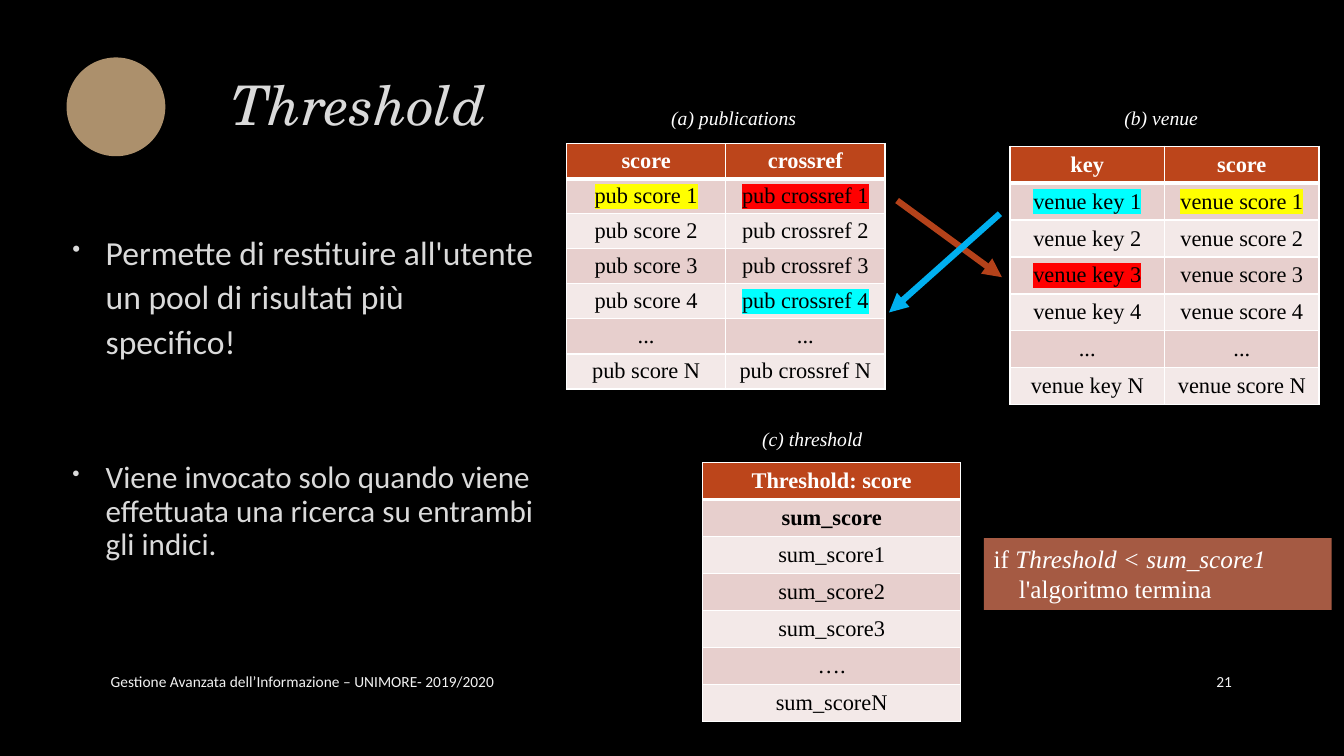
from dataclasses import dataclass, field

from lxml import etree
from pptx import Presentation
from pptx.dml.color import RGBColor
from pptx.enum.shapes import MSO_CONNECTOR, MSO_SHAPE
from pptx.enum.text import MSO_ANCHOR, MSO_AUTO_SIZE, PP_ALIGN
from pptx.oxml.ns import qn
from pptx.util import Inches, Pt

LEFT, CENTER, RIGHT = PP_ALIGN.LEFT, PP_ALIGN.CENTER, PP_ALIGN.RIGHT
TOP, MIDDLE = MSO_ANCHOR.TOP, MSO_ANCHOR.MIDDLE
OVAL, RECTANGLE = MSO_SHAPE.OVAL, MSO_SHAPE.RECTANGLE
STRAIGHT = MSO_CONNECTOR.STRAIGHT
NO_FIT = MSO_AUTO_SIZE.NONE

# Positions and sizes are percentages of the page width and height.
PAGE_WIDTH, PAGE_HEIGHT = Inches(13.33), Inches(7.5)
SERIF, SANS, DISPLAY = "Times New Roman", "Calibri", "TeX Gyre Schola"
BLACK, WHITE, PALE, FOOTER = "000000", "FFFFFF", "DADADA", "F2F2F2"
HEADER, BANDS = "BC451B", ("F3E9E8", "E7CFCD")
YELLOW, RED, CYAN = "FFFF00", "FF0000", "00FFFF"


@dataclass
class Style:
    size: float
    font: str = SERIF
    color: str = WHITE
    bold: bool = False
    italic: bool = False


@dataclass
class Label:
    text: str
    area: tuple[float, float, float, float]
    style: Style
    align: PP_ALIGN = LEFT
    anchor: MSO_ANCHOR = TOP


@dataclass
class ScoreTable:
    left: float
    top: float
    column: float
    row: float
    rows: list[tuple[str, ...]]
    marks: dict[str, str] = field(default_factory=dict)
    bold: tuple[str, ...] = ()


@dataclass
class Arrow:
    start: tuple[float, float]
    end: tuple[float, float]
    color: str


@dataclass
class Bullet:
    text: str
    top: float
    size: float
    line_spacing: float


CAPTION = Style(14, italic=True)
SMALL = Style(11, SANS, FOOTER)
RULE = Style(18)

LABELS = [
    Label("Gestione Avanzata dell’Informazione – UNIMORE- 2019/2020",
          (7.5, 87.47, 54.75, 5.33), SMALL, LEFT, MIDDLE),
    Label("21", (86.25, 87.47, 6.15, 5.33), SMALL, RIGHT, MIDDLE),
    Label("(a) publications", (45.07, 13.33, 19.05, 4.53), CAPTION, CENTER),
    Label("(b) venue", (76.88, 13.33, 19.05, 4.53), CAPTION, CENTER),
    Label("(c) threshold", (50.92, 55.87, 19.05, 4.53), CAPTION, CENTER),
]

ITEMS = ("1", "2", "3", "4", "N")


def listing(header: tuple[str, str], names: tuple[str, str]) -> list[tuple[str, ...]]:
    """Rows for items 1 to 4, an ellipsis and item N."""
    rows = [tuple(f"{name} {item}" for name in names) for item in ITEMS]
    return [header, *rows[:-1], ("...", "..."), rows[-1]]


TABLES = [
    ScoreTable(42.15, 19, 11.85, 4.64,
               listing(("score", "crossref"), ("pub score", "pub crossref")),
               {"pub score 1": YELLOW, "pub crossref 1": RED, "pub crossref 4": CYAN}),
    ScoreTable(75.15, 19.33, 11.5, 4.89,
               listing(("key", "score"), ("venue key", "venue score")),
               {"venue key 1": CYAN, "venue score 1": YELLOW, "venue key 3": RED}),
    ScoreTable(52.28, 61.2, 19.2, 4.89,
               [("Threshold: score",), ("sum_score",), ("sum_score1",), ("sum_score2",),
                ("sum_score3",), ("….",), ("sum_scoreN",)],
               bold=("sum_score",)),
]

ARROWS = [
    Arrow((66.75, 26.53), (74.55, 36.67), "B4421A"),
    Arrow((74.4, 28.27), (66.15, 41.33), "00B0F0"),
]

BULLETS = [
    Bullet("Permette di restituire all'utente un pool di risultati più specifico!",
           29.47, 24, 1.1),
    Bullet("Viene invocato solo quando viene effettuata una ricerca su entrambi gli indici.",
           60.4, 22.2, 0.9),
]


def x(share: float) -> int:
    return round(PAGE_WIDTH * share / 100)


def y(share: float) -> int:
    return round(PAGE_HEIGHT * share / 100)


def place(area: tuple[float, float, float, float]) -> tuple[int, int, int, int]:
    left, top, width, height = area
    return x(left), y(top), x(width), y(height)


def rgb(value: str) -> RGBColor:
    return RGBColor.from_string(value)


def paint(target, color: str) -> None:
    target.fill.solid()
    target.fill.fore_color.rgb = rgb(color)


def format_span(span, style: Style) -> None:
    font = span.font
    font.size, font.name = Pt(style.size), style.font
    font.bold, font.italic = style.bold, style.italic
    font.color.rgb = rgb(style.color)


def write(frame, text: str, style: Style, align=LEFT, anchor=TOP):
    frame.text = text
    frame.word_wrap = True
    frame.vertical_anchor = anchor
    para = frame.paragraphs[0]
    para.alignment = align
    format_span(para.runs[0], style)
    return para


def color_element(parent, tag: str, color: str):
    element = etree.SubElement(parent, qn(tag))
    etree.SubElement(element, qn("a:srgbClr"), val=color)
    return element


def add_label(page, label: Label):
    box = page.shapes.add_textbox(*place(label.area))
    return write(box.text_frame, label.text, label.style, label.align, label.anchor)


def add_bullet(page, bullet: Bullet) -> None:
    para = add_label(page, Label(bullet.text, (4.28, bullet.top, 36.53, 15.47),
                                 Style(bullet.size, SANS, PALE)))
    para.line_spacing = bullet.line_spacing
    para.space_after = Pt(6)
    props = para._p.get_or_add_pPr()
    props.set("marL", str(Inches(0.38)))
    props.set("indent", str(Inches(-0.33)))
    color_element(props, "a:buClr", PALE)
    etree.SubElement(props, qn("a:buSzPct"), val="70000")
    etree.SubElement(props, qn("a:buChar"), char="•")


def add_shape(page, kind, area: tuple[float, float, float, float], color: str):
    shape = page.shapes.add_shape(kind, *place(area))
    shape.shadow.inherit = False
    shape.line.fill.background()
    paint(shape, color)
    return shape


def add_borders(cell, row: int) -> None:
    """White borders, heavier between the header and the first row."""
    widths = {"L": 1, "R": 1, "T": 3 if row == 1 else 1, "B": 3 if row == 0 else 1}
    for position, (side, width) in enumerate(widths.items()):
        line = etree.Element(qn(f"a:ln{side}"), w=str(Pt(width)))
        color_element(line, "a:solidFill", WHITE)
        cell._tc.get_or_add_tcPr().insert(position, line)


def add_score_table(page, spec_: ScoreTable) -> None:
    count, columns = len(spec_.rows), len(spec_.rows[0])
    area = (spec_.left, spec_.top, spec_.column * columns, spec_.row * count)
    table = page.shapes.add_table(count, columns, *place(area)).table
    for row, texts in enumerate(spec_.rows):
        table.rows[row].height = y(spec_.row)
        for column, text in enumerate(texts):
            cell = table.cell(row, column)
            cell.margin_top = cell.margin_bottom = 0
            cell.margin_left = cell.margin_right = Inches(0.05)
            cell.vertical_anchor = MIDDLE
            paint(cell, BANDS[row % 2] if row else HEADER)
            add_borders(cell, row)
            cell.text = text
            para = cell.text_frame.paragraphs[0]
            para.alignment = CENTER
            format_span(para.runs[0], Style(16, color=BLACK if row else WHITE,
                                            bold=row == 0 or text in spec_.bold))
            if text in spec_.marks:
                props = para.runs[0]._r.get_or_add_rPr()
                mark = color_element(props, "a:highlight", spec_.marks[text])
                props.find(qn("a:solidFill")).addnext(mark)


def add_arrow(page, arrow: Arrow) -> None:
    (x1, y1), (x2, y2) = arrow.start, arrow.end
    line = page.shapes.add_connector(STRAIGHT, x(x1), y(y1), x(x2), y(y2))
    line.line.color.rgb = rgb(arrow.color)
    line.line.width = Pt(4.5)
    etree.SubElement(line.line._get_or_add_ln(), qn("a:tailEnd"), type="triangle")
    etree.SubElement(line._element.spPr, qn("a:effectLst"))


def add_title(page) -> None:
    title = page.shapes.title
    title.left, title.top, title.width, title.height = place((-15.75, 5.07, 84.9, 18.4))
    para = write(title.text_frame, "Threshold", Style(39, DISPLAY, PALE, italic=True),
                 CENTER, MIDDLE)
    para.line_spacing = 0.9
    title.text_frame.auto_size = NO_FIT


def add_rule(page) -> None:
    frame = add_shape(page, RECTANGLE, (73.2, 71.2, 25.88, 9.47), "A55A43").text_frame
    para = write(frame, "if ", RULE)
    condition = para.add_run()
    condition.text = "Threshold < sum_score1"
    format_span(condition, Style(18, italic=True))
    result = frame.add_paragraph()
    result.text = "l'algoritmo termina"
    result.alignment = LEFT
    result._p.get_or_add_pPr().set("marL", str(Inches(0.25)))
    format_span(result.runs[0], RULE)


def main() -> None:
    deck = Presentation()
    deck.slide_width, deck.slide_height = PAGE_WIDTH, PAGE_HEIGHT
    page = deck.slides.add_slide(deck.slide_layouts.get_by_name("Title Only"))
    paint(page.background, BLACK)
    add_title(page)
    add_shape(page, OVAL, (4.95, 7.6, 7.35, 13.07), "AC906C")
    for draw, items in ((add_label, LABELS), (add_score_table, TABLES),
                        (add_arrow, ARROWS), (add_bullet, BULLETS)):
        for item in items:
            draw(page, item)
    add_rule(page)
    deck.save("out.pptx")


if __name__ == "__main__":
    main()
